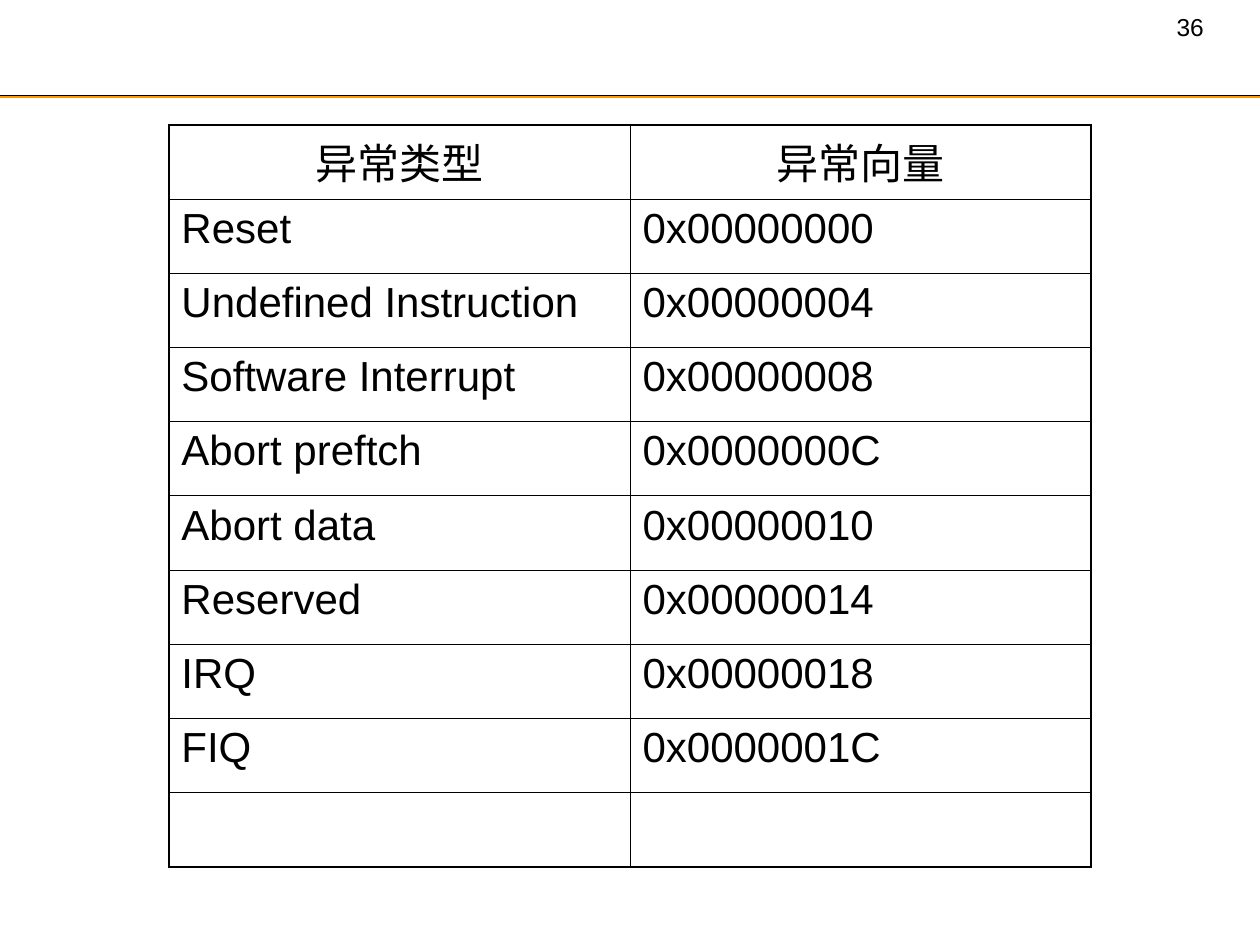
import pptx
import pptx.util
import pptx.dml.color
import pptx.enum.shapes
import pptx.enum.text
import pptx.oxml.ns
from lxml import etree

Inches, Pt = pptx.util.Inches, pptx.util.Pt

PAGE_NUMBER = "36"
ROWS = [
    ("异常类型", "异常向量"),
    ("Reset", "0x00000000"),
    ("Undefined Instruction", "0x00000004"),
    ("Software Interrupt", "0x00000008"),
    ("Abort preftch", "0x0000000C"),
    ("Abort data", "0x00000010"),
    ("Reserved", "0x00000014"),
    ("IRQ", "0x00000018"),
    ("FIQ", "0x0000001C"),
    ("", ""),
]
THEME = {
    "font": "Arial", "ink": "000000", "paper": "FFFFFF", "accent": "FF9900",
    "table_size": 24, "number_size": 14,
    "rule": 0.75, "outer_border": 1.08, "inner_border": 0.45,
}
SLIDE_WIDTH, SLIDE_HEIGHT = 10, 7.5
TABLE_WIDTH, TABLE_TOP, TABLE_HEIGHT = 7.32, 0.99, 5.89
HEADER_RULES = [(0.76, "ink"), (0.77, "accent")]


def color(name):
    return pptx.dml.color.RGBColor.from_string(THEME[name])


def style_text(paragraph, size):
    paragraph.font.name = THEME["font"]
    paragraph.font.size = Pt(THEME[size])
    paragraph.font.color.rgb = color("ink")


def add_page_number(slide):
    left = 9.24
    box = slide.shapes.add_textbox(
        Inches(left), Inches(0.05), Inches(SLIDE_WIDTH - left), Inches(0.34))
    box.text_frame.word_wrap = True
    paragraph = box.text_frame.paragraphs[0]
    paragraph.text = PAGE_NUMBER
    style_text(paragraph, "number_size")


def add_rule(slide, top, color_name):
    rule = slide.shapes.add_connector(
        pptx.enum.shapes.MSO_CONNECTOR.STRAIGHT,
        0, Inches(top), Inches(SLIDE_WIDTH), Inches(top))
    rule.line.color.rgb = color(color_name)
    rule.line.width = Pt(THEME["rule"])
    etree.SubElement(rule._element.spPr, pptx.oxml.ns.qn("a:effectLst"))


def set_borders(cell, outer_sides):
    properties = cell._tc.get_or_add_tcPr()
    for position, (tag, is_outer) in enumerate(zip(("lnL", "lnR", "lnT", "lnB"), outer_sides)):
        width = THEME["outer_border" if is_outer else "inner_border"]
        border = etree.Element(pptx.oxml.ns.qn(f"a:{tag}"), w=str(int(Pt(width))))
        fill = etree.SubElement(border, pptx.oxml.ns.qn("a:solidFill"))
        etree.SubElement(fill, pptx.oxml.ns.qn("a:srgbClr"), val=THEME["ink"])
        properties.insert(position, border)


def add_vector_table(slide):
    row_count, column_count = len(ROWS), len(ROWS[0])
    table = slide.shapes.add_table(
        row_count, column_count,
        Inches((SLIDE_WIDTH - TABLE_WIDTH) / 2), Inches(TABLE_TOP),
        Inches(TABLE_WIDTH), Inches(TABLE_HEIGHT)).table
    table.first_row = table.horz_banding = False
    for row, texts in enumerate(ROWS):
        for column, text in enumerate(texts):
            cell = table.cell(row, column)
            cell.fill.solid()
            cell.fill.fore_color.rgb = color("paper")
            set_borders(cell, (column == 0, column == column_count - 1,
                               row == 0, row == row_count - 1))
            paragraph = cell.text_frame.paragraphs[0]
            paragraph.text = text
            style_text(paragraph, "table_size")
            if row == 0:
                paragraph.alignment = pptx.enum.text.PP_ALIGN.CENTER


def main():
    presentation = pptx.Presentation()
    presentation.slide_width = Inches(SLIDE_WIDTH)
    presentation.slide_height = Inches(SLIDE_HEIGHT)
    slide = presentation.slides.add_slide(presentation.slide_layouts[6])
    slide.background.fill.solid()
    slide.background.fill.fore_color.rgb = color("paper")
    add_page_number(slide)
    for top, color_name in HEADER_RULES:
        add_rule(slide, top, color_name)
    add_vector_table(slide)
    presentation.save("out.pptx")


if __name__ == "__main__":
    main()
